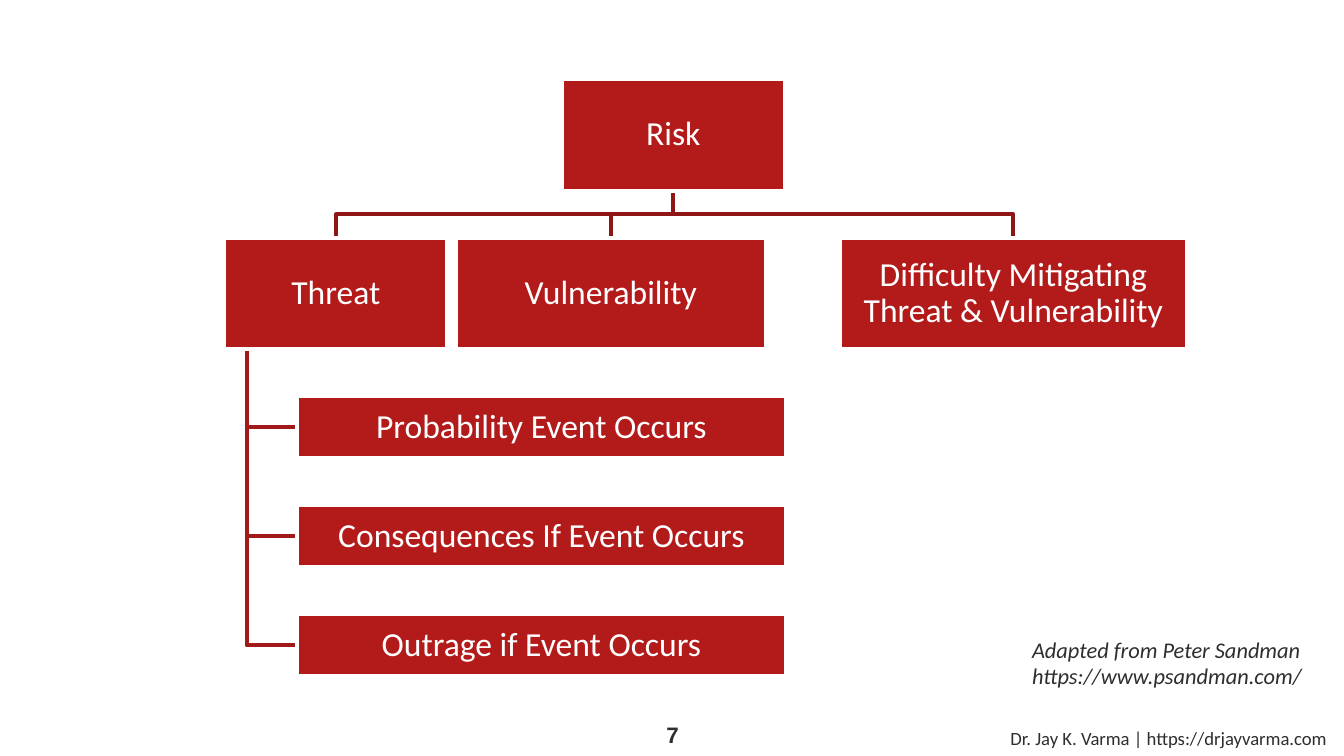
from dataclasses import dataclass

from pptx import Presentation
from pptx.dml.color import RGBColor
from pptx.enum.shapes import MSO_SHAPE
from pptx.enum.text import MSO_ANCHOR, PP_ALIGN
from pptx.util import Pt


@dataclass(frozen=True)
class Theme:
    box: RGBColor = RGBColor(0xB3, 0x1B, 0x1B)
    white: RGBColor = RGBColor(0xFF, 0xFF, 0xFF)
    ink: RGBColor = RGBColor(0x2D, 0x2E, 0x2D)
    branch: RGBColor = RGBColor(0x8F, 0x16, 0x16)
    sub_branch: RGBColor = RGBColor(0xA2, 0x19, 0x19)
    body_font: str = "Calibri"
    number_font: str = "Arial"
    box_size: int = 18
    note_size: int = 12
    footer_size: int = 10
    line_width: int = 2


THEME = Theme()

RISK = ("Risk", 301, 42.5, 119.5, 59.8)
FACTOR_TOP, FACTOR_HEIGHT = 127.4, 59.8
FACTORS = [("Threat", 120.2, 119.5), ("Vulnerability", 244.1, 166.3),
           ("Difficulty Mitigating Threat & Vulnerability", 450, 185.8)]
THREAT_PARTS = ["Probability Event Occurs", "Consequences If Event Occurs",
                "Outrage if Event Occurs"]
PART_LEFT, PART_TOP, PART_WIDTH, PART_HEIGHT, PART_STEP = 159.1, 212.4, 262, 33.1, 58.4


def add_run(paragraph, text, size, color, font=THEME.body_font, bold=False, italic=False):
    run = paragraph.add_run()
    run.text = text
    run.font.size = Pt(size)
    run.font.name = font
    run.font.color.rgb = color
    run.font.bold = bold
    run.font.italic = italic


def add_branch(slide, points, color):
    """Draw an open angled line through the points."""
    start, *rest = [(Pt(x), Pt(y)) for x, y in points]
    builder = slide.shapes.build_freeform(*start)
    builder.add_line_segments(rest, close=False)
    shape = builder.convert_to_shape()
    shape.shadow.inherit = False
    shape.fill.background()
    shape.line.color.rgb = color
    shape.line.width = Pt(THEME.line_width)


def add_box(slide, text, left, top, width, height):
    shape = slide.shapes.add_shape(MSO_SHAPE.RECTANGLE, Pt(left), Pt(top), Pt(width), Pt(height))
    shape.shadow.inherit = False
    shape.fill.solid()
    shape.fill.fore_color.rgb = THEME.box
    shape.line.color.rgb = THEME.white
    shape.line.width = Pt(THEME.line_width)
    frame = shape.text_frame
    frame.word_wrap = True
    frame.vertical_anchor = MSO_ANCHOR.MIDDLE
    frame.margin_left = frame.margin_right = frame.margin_top = frame.margin_bottom = Pt(1)
    paragraph = frame.paragraphs[0]
    paragraph.alignment = PP_ALIGN.CENTER
    paragraph.line_spacing = 0.9
    add_run(paragraph, text, THEME.box_size, THEME.white)


def add_label(slide, text, left, top, width, height, size, align=PP_ALIGN.LEFT,
              anchor=MSO_ANCHOR.TOP, **style):
    frame = slide.shapes.add_textbox(Pt(left), Pt(top), Pt(width), Pt(height)).text_frame
    frame.word_wrap = True
    frame.margin_right = 0
    if align == PP_ALIGN.CENTER:
        frame.margin_left = 0
    frame.vertical_anchor = anchor
    paragraph = frame.paragraphs[0]
    paragraph.alignment = align
    add_run(paragraph, text, size, THEME.ink, **style)


def add_factors(slide):
    _, left, top, width, height = RISK
    trunk, bottom = left + width / 2, top + height
    middle = (bottom + FACTOR_TOP) / 2
    for _, factor_left, factor_width in FACTORS:
        center = factor_left + factor_width / 2
        add_branch(slide, [(trunk, bottom), (trunk, middle), (center, middle),
                           (center, FACTOR_TOP)], THEME.branch)
    add_box(slide, *RISK)


def add_threat_parts(slide):
    _, threat_left, threat_width = FACTORS[0]
    trunk = threat_left + threat_width / 10
    for index, text in enumerate(THREAT_PARTS):
        top = PART_TOP + index * PART_STEP
        middle = top + PART_HEIGHT / 2
        add_branch(slide, [(trunk, FACTOR_TOP + FACTOR_HEIGHT), (trunk, middle),
                           (PART_LEFT, middle)], THEME.sub_branch)
        add_box(slide, text, PART_LEFT, top, PART_WIDTH, PART_HEIGHT)


def main():
    presentation = Presentation()
    presentation.slide_width, presentation.slide_height = Pt(720), Pt(405)
    slide = presentation.slides.add_slide(presentation.slide_layouts[6])
    add_factors(slide)
    add_threat_parts(slide)
    for text, left, width in FACTORS:
        add_box(slide, text, left, FACTOR_TOP, width, FACTOR_HEIGHT)
    add_label(slide, "Adapted from Peter Sandman https://www.psandman.com/",
              545.8, 337, 170, 36, THEME.note_size, italic=True)
    add_label(slide, "Dr. Jay K. Varma | https://drjayvarma.com",
              534.2, 386, 185.8, 19, THEME.footer_size)
    add_label(slide, "7", 339.8, 383, 41, 21.6, THEME.note_size, PP_ALIGN.CENTER,
              MSO_ANCHOR.MIDDLE, font=THEME.number_font, bold=True)
    presentation.save("out.pptx")


if __name__ == "__main__":
    main()
